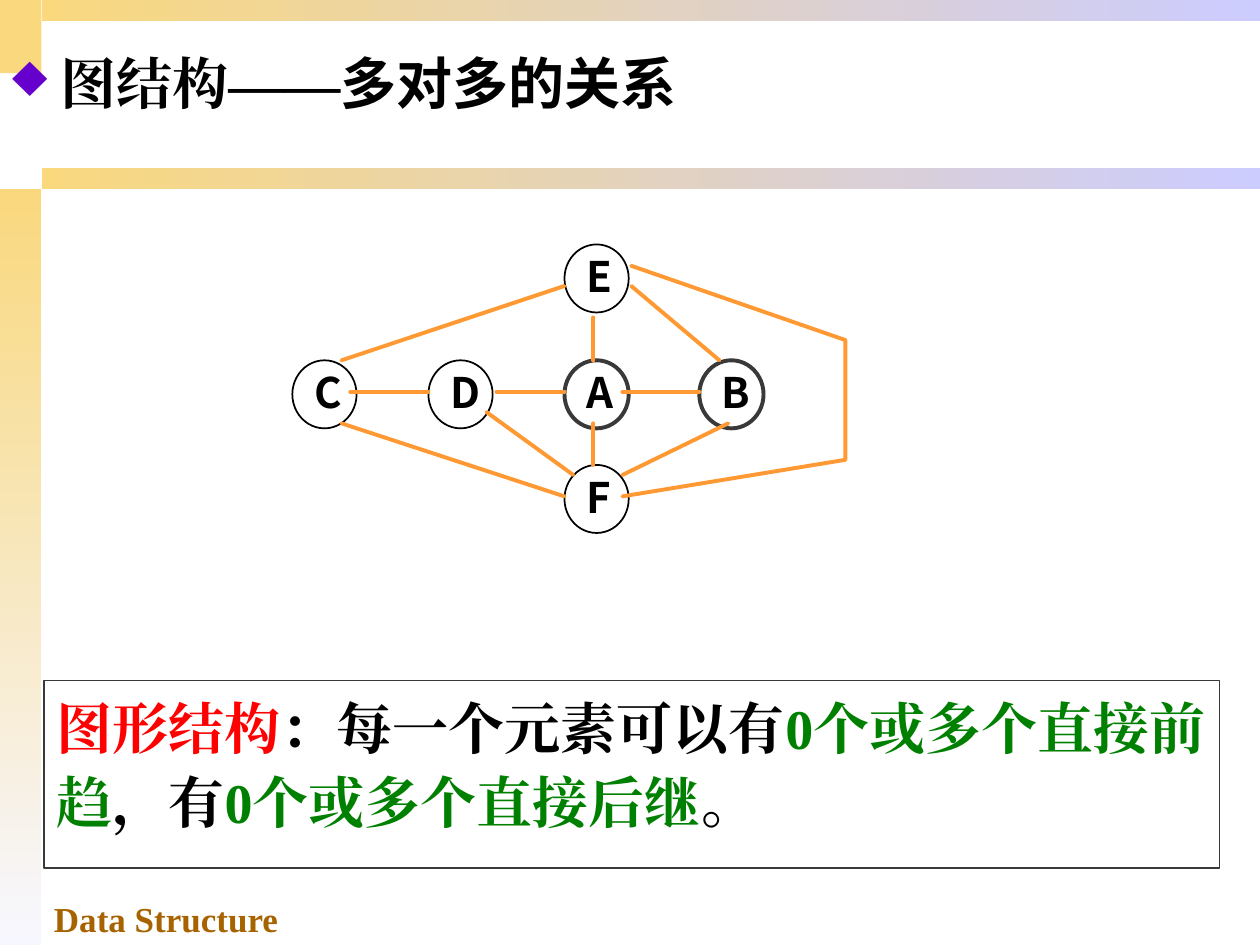
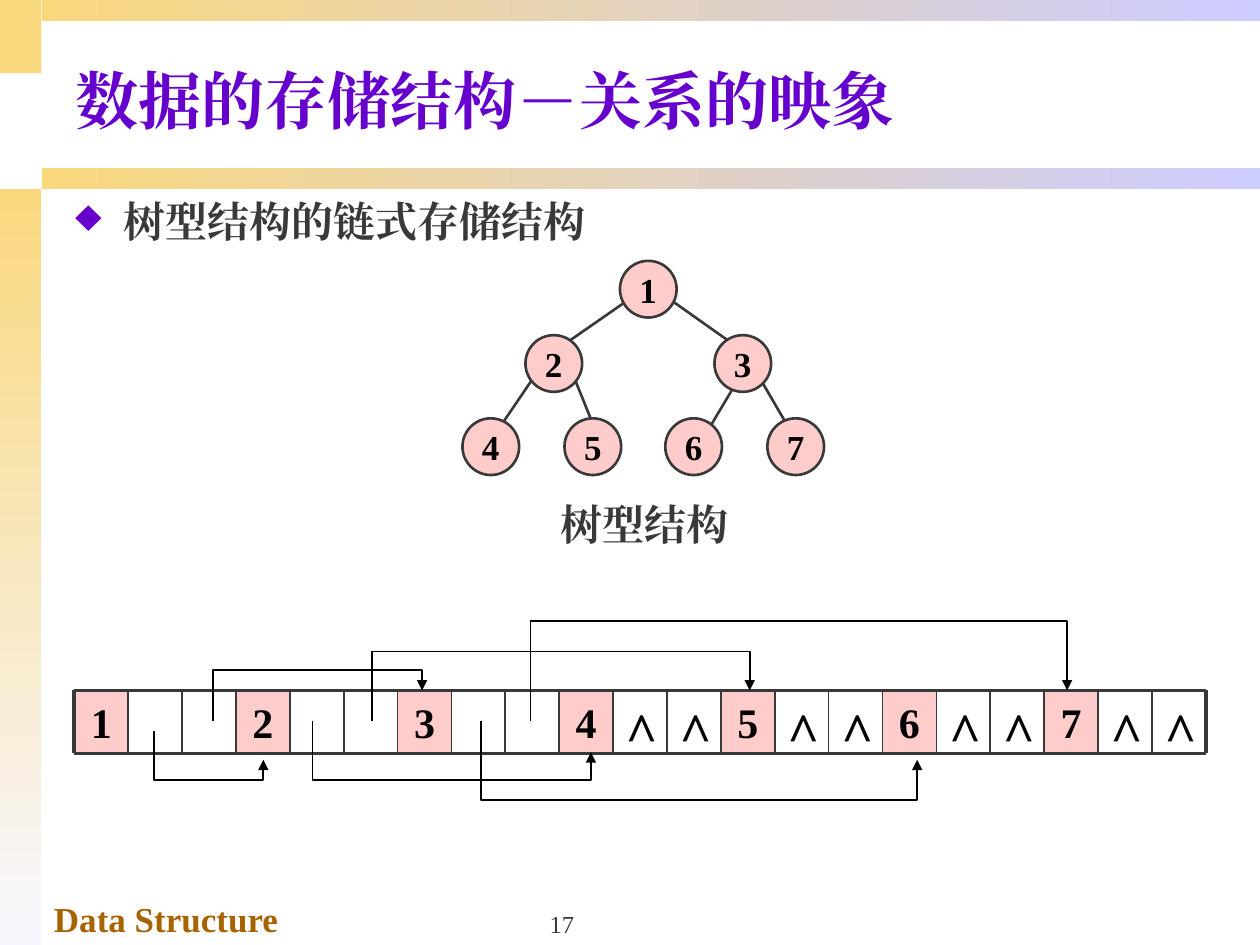
import pptx
import pptx.util
import pptx.dml.color
import pptx.enum.dml
import pptx.enum.lang
import pptx.enum.shapes
import pptx.enum.text
from lxml import etree
from pptx.oxml.ns import qn

Inches = pptx.util.Inches
Pt = pptx.util.Pt
RGBColor = pptx.dml.color.RGBColor
SHAPE = pptx.enum.shapes.MSO_SHAPE
CENTER = pptx.enum.text.PP_ALIGN.CENTER
ANCHOR = pptx.enum.text.MSO_ANCHOR

SERIF = "Times New Roman"
SANS = "Noto Sans CJK SC"

BLACK = RGBColor(0x00, 0x00, 0x00)
WHITE = RGBColor(0xFF, 0xFF, 0xFF)
CHARCOAL = RGBColor(0x39, 0x39, 0x39)
GOLD = RGBColor(0xF9, 0xD8, 0x7E)
PALE = RGBColor(0xF7, 0xF7, 0xFF)
LAVENDER = RGBColor(0xCC, 0xCC, 0xFF)
BROWN = RGBColor(0xA6, 0x63, 0x00)
PURPLE = RGBColor(0x66, 0x00, 0xCC)
ORANGE = RGBColor(0xFF, 0x99, 0x33)
PINK = RGBColor(0xFF, 0xCC, 0xCC)
RED = RGBColor(0xFF, 0x00, 0x00)
GREEN = RGBColor(0x00, 0x80, 0x00)

ROW_LEFT, ROW_RIGHT, ROW_TOP, ROW_BOTTOM = 0.59, 9.57, 5.48, 5.98
CELL_COUNT = 21
CELL_WIDTH = (ROW_RIGHT - ROW_LEFT) / CELL_COUNT


def write(frame, runs, size, bold=True, align=None, line_spacing=None, before=None, bullet=False):
    """Fill one paragraph; runs are (text, colour, font), before is a percentage."""
    paragraph = frame.paragraphs[0]
    paragraph.alignment = align
    paragraph.line_spacing = line_spacing
    properties = paragraph._p.get_or_add_pPr()
    if before:
        spacing = etree.SubElement(properties, qn("a:spcBef"))
        etree.SubElement(spacing, qn("a:spcPct"), val=str(before * 1000))
    if bullet:
        properties.set("marL", str(Inches(0.38)))
        properties.set("indent", str(-Inches(0.38)))
        colour = etree.SubElement(properties, qn("a:buClr"))
        etree.SubElement(colour, qn("a:srgbClr"), val=str(PURPLE))
        etree.SubElement(properties, qn("a:buSzPct"), val="110000")
        etree.SubElement(properties, qn("a:buChar"), char="♦")
    for text, colour, typeface in runs:
        run = paragraph.add_run()
        run.text = text
        font = run.font
        font.size, font.bold, font.name = Pt(size), bold, typeface
        font.color.rgb = colour
        font.language_id = pptx.enum.lang.MSO_LANGUAGE_ID.SIMPLIFIED_CHINESE
        run._r.rPr.find(qn("a:latin")).addnext(
            etree.Element(qn("a:ea"), typeface=typeface))


def add_text(slide, box, runs, size, anchor=ANCHOR.TOP, **style):
    frame = slide.shapes.add_textbox(*map(Inches, box)).text_frame
    frame.word_wrap = True
    frame.vertical_anchor = anchor
    write(frame, runs, size, **style)


def add_block(slide, kind, box, fill=None, outline=None, width=1):
    block = slide.shapes.add_shape(kind, *map(Inches, box))
    block.shadow.inherit = False
    if fill is None:
        block.fill.background()
    else:
        block.fill.solid()
        block.fill.fore_color.rgb = fill
    if outline is None:
        block.line.fill.background()
    else:
        block.line.color.rgb = outline
        block.line.width = Pt(width)
    return block


def add_gradient_band(slide, box, end_colour, angle):
    fill = add_block(slide, SHAPE.RECTANGLE, box, GOLD).fill
    fill.gradient()
    fill.gradient_angle = angle
    for stop, colour, position in zip(fill.gradient_stops, (GOLD, end_colour), (0, 1)):
        stop.color.rgb = colour
        stop.position = position


def add_line(slide, start, end, colour, width, round_caps=False):
    line = slide.shapes.add_connector(
        pptx.enum.shapes.MSO_CONNECTOR.STRAIGHT, *map(Inches, start + end))
    line.line.color.rgb = colour
    line.line.width = Pt(width)
    if round_caps:
        line.line._get_or_add_ln().set("cap", "rnd")
    etree.SubElement(line._element.spPr, qn("a:effectLst"))


def add_path(slide, points, colour, width, arrow=False):
    corners = [(Inches(x), Inches(y)) for x, y in points]
    builder = slide.shapes.build_freeform(*corners[0])
    builder.add_line_segments(corners[1:], close=False)
    path = builder.convert_to_shape()
    path.shadow.inherit = False
    path.fill.background()
    path.line.color.rgb = colour
    path.line.width = Pt(width)
    outline = path.line._get_or_add_ln()
    if arrow:
        etree.SubElement(outline, qn("a:tailEnd"), type="triangle")
    else:
        outline.set("cap", "rnd")


def add_base_slide(deck):
    """Add a blank slide with the side bands, title bands and footer."""
    slide = deck.slides.add_slide(deck.slide_layouts[6])
    add_block(slide, SHAPE.RECTANGLE, (0, 0, 0.33, 0.58), GOLD)
    add_gradient_band(slide, (0, 1.5, 0.33, 6), PALE, 270)
    for top in (1.33, 0):
        add_gradient_band(slide, (0.33, top, 9.67, 0.17), LAVENDER, 0)
    add_text(slide, (0.33, 7.07, 3.5, 0.43), [("Data Structure", BROWN, SERIF)], 20, before=50)
    return slide


def add_graph(slide):
    vertices = {
        "D": (3.4, 2.86), "E": (4.48, 1.94), "F": (4.48, 3.69),
        "C": (2.32, 2.86), "B": (5.55, 2.86), "A": (4.48, 2.86),
    }
    for name, (left, top) in vertices.items():
        outline, width = (CHARCOAL, 2.25) if name in "AB" else (BLACK, 1)
        add_block(slide, SHAPE.OVAL, (left, top, 0.51, 0.54), None, outline, width)
        add_text(slide, (left + 0.08, top, 0.51, 0.5), [(name, BLACK, SANS)], 24)

    edges = [
        ((4.94, 3.11), (5.55, 3.11)), ((4.71, 3.36), (4.71, 3.69)),
        ((4.71, 2.52), (4.71, 2.86)), ((2.78, 3.11), (3.4, 3.11)),
        ((4.48, 2.27), (2.71, 2.86)), ((3.94, 3.11), (4.48, 3.11)),
        ((2.71, 3.36), (4.48, 3.94)), ((5.78, 3.36), (4.94, 3.77)),
        ((5.01, 2.27), (5.71, 2.86)), ((3.86, 3.27), (4.55, 3.77)),
    ]
    for start, end in edges:
        add_line(slide, start, end, ORANGE, 2.25, round_caps=True)
    add_path(slide, [(5.01, 2.11), (6.71, 2.7), (6.71, 3.65), (4.94, 3.94)], ORANGE, 2.25)


def add_tree(slide):
    branches = [
        ((5.03, 2.35), (4.44, 2.76)), ((5.28, 2.35), (5.86, 2.76)),
        ((4.28, 2.93), (3.94, 3.43)), ((4.53, 2.93), (4.8, 3.6)),
        ((5.86, 3.01), (5.61, 3.43)), ((5.96, 2.88), (6.28, 3.43)),
    ]
    for start, end in branches:
        add_line(slide, start, end, CHARCOAL, 1.5)

    nodes = [(4.92, 2.07), (4.17, 2.66), (5.67, 2.66),
             (3.67, 3.32), (4.48, 3.32), (5.28, 3.32), (6.09, 3.32)]
    for number, (left, top) in enumerate(nodes, start=1):
        node = add_block(slide, SHAPE.OVAL, (left, top, 0.45, 0.45), PINK, CHARCOAL, 1.5)
        node.text_frame.word_wrap = False
        node.text_frame.vertical_anchor = ANCHOR.MIDDLE
        write(node.text_frame, [(str(number), BLACK, SERIF)], 20, align=CENTER, before=50)


def add_cell(slide, index, text, size, fill):
    box = (ROW_LEFT + index * CELL_WIDTH, ROW_TOP, CELL_WIDTH, ROW_BOTTOM - ROW_TOP)
    frame = add_block(slide, SHAPE.RECTANGLE, box, fill).text_frame
    frame.vertical_anchor = ANCHOR.TOP
    write(frame, [(text, BLACK, SERIF)], size, align=CENTER, before=20)


def add_linked_storage(slide):
    """Draw seven records of one value and two pointers, with ^ as the null pointer."""
    for number in range(1, 8):
        value_index = 3 * (number - 1)
        add_cell(slide, value_index, str(number), 24, PINK)
        if number > 3:
            for offset in (1, 2):
                add_cell(slide, value_index + offset, "^", 32, WHITE)

    for y in (ROW_TOP, ROW_BOTTOM):
        add_line(slide, (ROW_LEFT, y), (ROW_RIGHT, y), CHARCOAL, 2.25)
    for index in range(CELL_COUNT + 1):
        x = ROW_LEFT + index * CELL_WIDTH
        width = 2.25 if index in (0, CELL_COUNT) else 1
        add_line(slide, (x, ROW_TOP), (x, ROW_BOTTOM), CHARCOAL, width)

    # start x, start y, bend y, target x, target y
    pointers = [
        (1.22, 5.8, 6.19, 2.09, 6.03), (1.69, 5.72, 5.32, 3.35, 5.48),
        (2.48, 5.72, 6.19, 4.69, 5.97), (2.95, 5.72, 5.17, 5.95, 5.48),
        (3.82, 5.72, 6.35, 7.28, 6.03), (4.21, 5.72, 4.93, 8.47, 5.48),
    ]
    for start_x, start_y, bend_y, target_x, target_y in pointers:
        add_path(slide, [(start_x, start_y), (start_x, bend_y),
                         (target_x, bend_y), (target_x, target_y)], BLACK, 1, arrow=True)


def build_graph_slide(deck):
    slide = add_base_slide(deck)
    add_text(slide, (0, 0.28, 10, 0.67),
             [("图结构——", BLACK, SERIF), ("多对多的关系", BLACK, SANS)],
             32, line_spacing=1.1, bullet=True)
    add_graph(slide)
    definition = add_block(slide, SHAPE.RECTANGLE, (0.35, 5.4, 9.33, 1.49),
                           None, CHARCOAL, 0.75).text_frame
    definition.vertical_anchor = ANCHOR.TOP
    phrases = [("图形结构", RED), ("：每一个元素可以有", BLACK), ("0个或多个直接前趋", GREEN),
               ("，有", BLACK), ("0个或多个直接后继", GREEN), ("。", BLACK)]
    write(definition, [(text, colour, SERIF) for text, colour in phrases], 32,
          align=pptx.enum.text.PP_ALIGN.LEFT, line_spacing=1.1)


def build_storage_slide(deck):
    slide = add_base_slide(deck)
    add_text(slide, (3.42, 7, 2.08, 0.5), [("17", CHARCOAL, SERIF)], 14,
             anchor=ANCHOR.BOTTOM, bold=False, align=CENTER)
    add_text(slide, (0.5, 0.25, 9.5, 1.07), [("数据的存储结构－关系的映象", PURPLE, SERIF)], 36,
             anchor=ANCHOR.MIDDLE)
    add_text(slide, (0.5, 1.5, 9.5, 5.42), [("树型结构的链式存储结构", CHARCOAL, SERIF)], 24,
             before=20, bullet=True)
    caption = add_block(slide, SHAPE.RECTANGLE, (4.09, 3.91, 2.05, 0.5), WHITE).text_frame
    caption.vertical_anchor = ANCHOR.TOP
    write(caption, [("树型结构", CHARCOAL, SERIF)], 24, align=CENTER)
    add_tree(slide)
    add_linked_storage(slide)


def main():
    deck = pptx.Presentation()
    deck.slide_width, deck.slide_height = Inches(10), Inches(7.5)
    build_graph_slide(deck)
    build_storage_slide(deck)
    deck.save("out.pptx")


if __name__ == "__main__":
    main()
